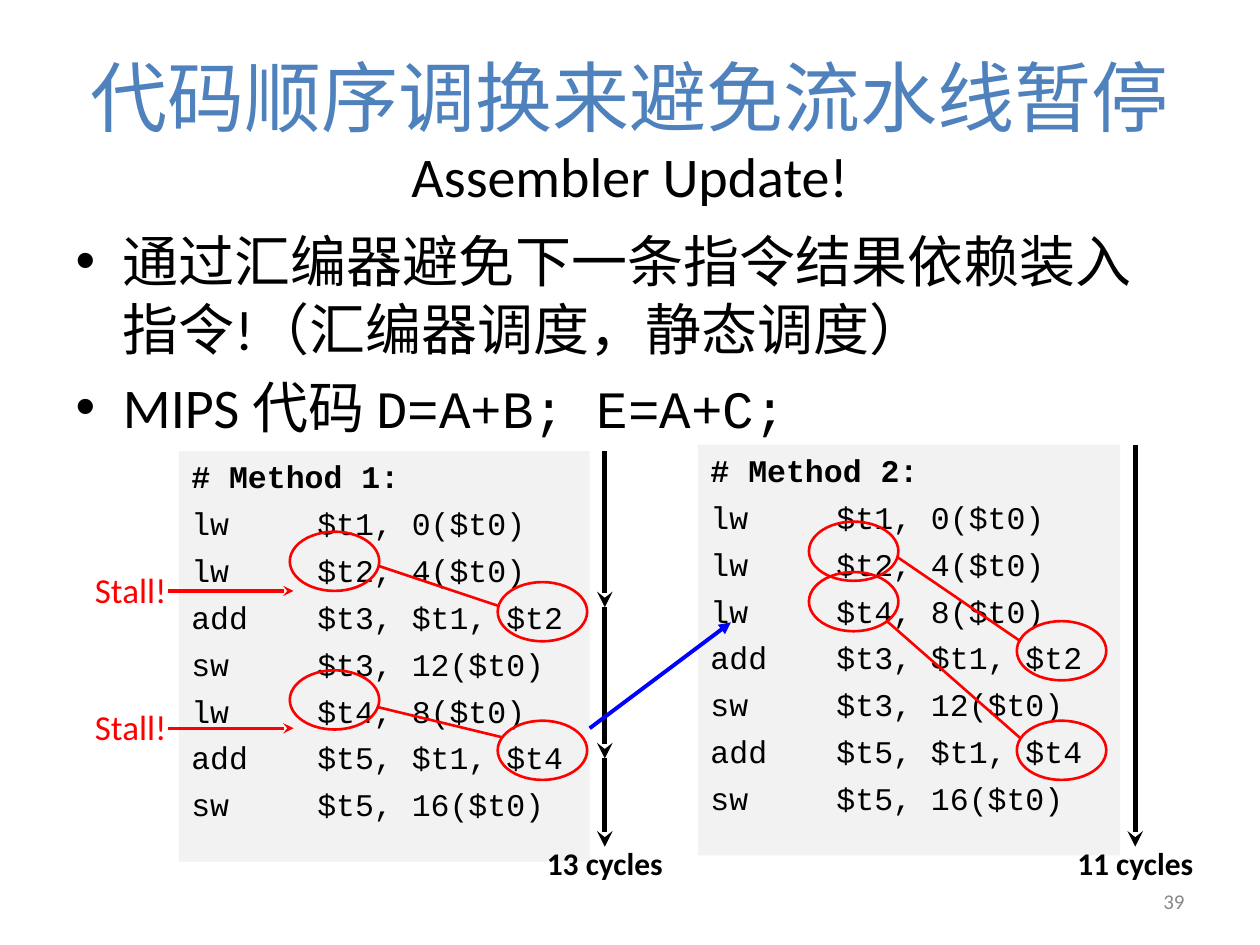
from lxml import etree
from pptx import Presentation
from pptx import util as u
from pptx.dml.color import RGBColor
from pptx.enum import shapes, text
from pptx.oxml.ns import qn

BLACK, RED, BLUE, TITLE_BLUE = "000000", "FF0000", "0000FF", "4F81BD"
PANEL_GREY, NUMBER_GREY = "F2F2F2", "888888"
OVAL = (0.71, 0.47)
DEFINED_X, USED_X = 0.88, 2.53  # register columns inside a code panel
TIMELINE_GAP = 0.12


def colour(value):
    return RGBColor.from_string(value)


def add_run(paragraph, words, size, shade=BLACK, font="Calibri", bold=False):
    run = paragraph.add_run()
    run.text = words
    run.font.size, run.font.name, run.font.bold = u.Pt(size), font, bold
    run.font.color.rgb = colour(shade)


def place(shape, box):
    shape.left, shape.top, shape.width, shape.height = map(u.Inches, box)


def add_label(slide, box, words, size, shade, align, bold=False):
    frame = slide.shapes.add_textbox(*map(u.Inches, box)).text_frame
    frame.word_wrap = False
    frame.paragraphs[0].alignment = align
    add_run(frame.paragraphs[0], words, size, shade, bold=bold)
    return frame


def add_line(slide, start, end, shade, width, arrowhead=None):
    line = slide.shapes.add_connector(
        shapes.MSO_CONNECTOR.STRAIGHT, *map(u.Inches, (*start, *end)))
    line.line.color.rgb = colour(shade)
    line.line.width = u.Pt(width)
    if arrowhead:
        outline = line.line._get_or_add_ln()
        etree.SubElement(outline, qn("a:tailEnd"), type=arrowhead)
    etree.SubElement(line._element.spPr, qn("a:effectLst"))


def add_title(slide, box):
    title = slide.shapes.title
    place(title, box)
    frame = title.text_frame
    frame.auto_size = text.MSO_AUTO_SIZE.NONE
    frame.vertical_anchor = text.MSO_ANCHOR.MIDDLE
    paragraph = frame.paragraphs[0]
    paragraph.alignment = text.PP_ALIGN.CENTER
    add_run(paragraph, "代码顺序调换来避免流水线暂停", 44, TITLE_BLUE)
    paragraph.add_line_break()
    add_run(paragraph, "Assembler Update!", 32)


def add_bullets(slide, box):
    body = slide.placeholders[1]
    place(body, box)
    frame = body.text_frame
    frame.auto_size = text.MSO_AUTO_SIZE.NONE
    first, second = frame.paragraphs[0], frame.add_paragraph()
    first.space_before = u.Pt(0)
    add_run(first, "通过汇编器避免下一条指令结果依赖装入指令!（汇编器调度，静态调度）", 32)
    add_run(second, "MIPS 代码", 32)
    add_run(second, " D=A+B; E=A+C;", 30, font="Courier New")


def add_code_panel(slide, box, heading, instructions):
    panel = slide.shapes.add_shape(
        shapes.MSO_SHAPE.RECTANGLE, *map(u.Inches, box))
    panel.shadow.inherit = False
    panel.fill.solid()
    panel.fill.fore_color.rgb = colour(PANEL_GREY)
    panel.line.fill.background()
    frame = panel.text_frame
    frame.vertical_anchor = text.MSO_ANCHOR.TOP
    for index, words in enumerate([heading, *instructions]):
        paragraph = frame.add_paragraph() if index else frame.paragraphs[0]
        tabs = etree.SubElement(paragraph._p.get_or_add_pPr(), qn("a:tabLst"))
        etree.SubElement(tabs, qn("a:tab"), pos=str(u.Inches(1)), algn="l")
        paragraph.alignment = text.PP_ALIGN.LEFT
        paragraph.space_before = u.Pt(5.2 if index else 0)
        add_run(paragraph, words, 18, font="Courier New", bold=index == 0)


def add_dependency(slide, box, defined_y, used_y, leave, arrive):
    """Circle a register where it is loaded and used; leave and arrive are offsets in the ovals."""
    left, top = box[:2]
    corners = [(left + DEFINED_X, top + defined_y), (left + USED_X, top + used_y)]
    for corner in corners:
        oval = slide.shapes.add_shape(
            shapes.MSO_SHAPE.OVAL, *map(u.Inches, (*corner, *OVAL)))
        oval.shadow.inherit = False
        oval.fill.background()
        oval.line.color.rgb = colour(RED)
        oval.line.width = u.Pt(1.5)
    start, end = [(x + dx, y + dy)
                  for (x, y), (dx, dy) in zip(corners, (leave, arrive))]
    add_line(slide, start, end, RED, 1.5)


def add_stall(slide, box, offset):
    left, y = box[0], box[1] + offset
    add_label(slide, (left - 0.82, y - 0.23, 0.82, 0.44), "Stall!", 20, RED,
              text.PP_ALIGN.RIGHT)
    add_line(slide, (left - 0.09, y), (left + 0.91, y), RED, 2, "stealth")


def add_timeline(slide, box, stops, cycles):
    x, top = box[0] + box[2] + TIMELINE_GAP, box[1]
    for start, end in zip(stops, stops[1:]):
        add_line(slide, (x, top + start), (x, top + end), BLACK, 3, "stealth")
    add_label(slide, (x - 0.56, top + stops[-1] - 0.07, 1.12, 0.4), cycles, 18,
              BLACK, text.PP_ALIGN.CENTER, bold=True)


def add_method(slide, box, heading, instructions, dependencies, stalls, stops, cycles):
    add_code_panel(slide, box, heading, instructions)
    for dependency in dependencies:
        add_dependency(slide, box, *dependency)
    for offset in stalls:
        add_stall(slide, box, offset)
    add_timeline(slide, box, stops, cycles)


def main():
    presentation = Presentation()
    presentation.slide_width, presentation.slide_height = u.Inches(10), u.Inches(7.5)
    slide = presentation.slides.add_slide(presentation.slide_layouts[1])
    add_title(slide, (0.5, 0.3, 9, 1.45))
    add_bullets(slide, (0.5, 1.75, 9, 2.02))

    load_1, load_2, load_4 = "lw\t$t1, 0($t0)", "lw\t$t2, 4($t0)", "lw\t$t4, 8($t0)"
    first_sum = ["add\t$t3, $t1, $t2", "sw\t$t3, 12($t0)"]
    second_sum = ["add\t$t5, $t1, $t4", "sw\t$t5, 16($t0)"]
    add_method(
        slide, (1.42, 3.58, 3.26, 3.26), "# Method 1:",
        [load_1, load_2, *first_sum, load_4, *second_sum],
        [(0.64, 1.04, (0.7, 0.27), (0.01, 0.19)),
         (1.74, 2.14, (0.69, 0.29), (0.03, 0.13))],
        [1.11, 2.2], [0, 1.24, 2.44, 3.14], "13 cycles")
    add_method(
        slide, (5.54, 3.53, 3.35, 3.26), "# Method 2:",
        [load_1, load_2, load_4, *first_sum, *second_sum],
        [(0.61, 1.4, (0.7, 0.28), (0.03, 0.16)),
         (1.01, 2.19, (0.62, 0.39), (0.03, 0.14))],
        [], [0, 3.19], "11 cycles")
    add_line(slide, (4.68, 5.78), (5.8, 4.94), BLUE, 2.25, "triangle")

    number = add_label(slide, (7.17, 6.95, 2.33, 0.4), "39", 12, NUMBER_GREY,
                       text.PP_ALIGN.RIGHT)
    number.word_wrap = True
    number.vertical_anchor = text.MSO_ANCHOR.MIDDLE
    presentation.save("out.pptx")


if __name__ == "__main__":
    main()
